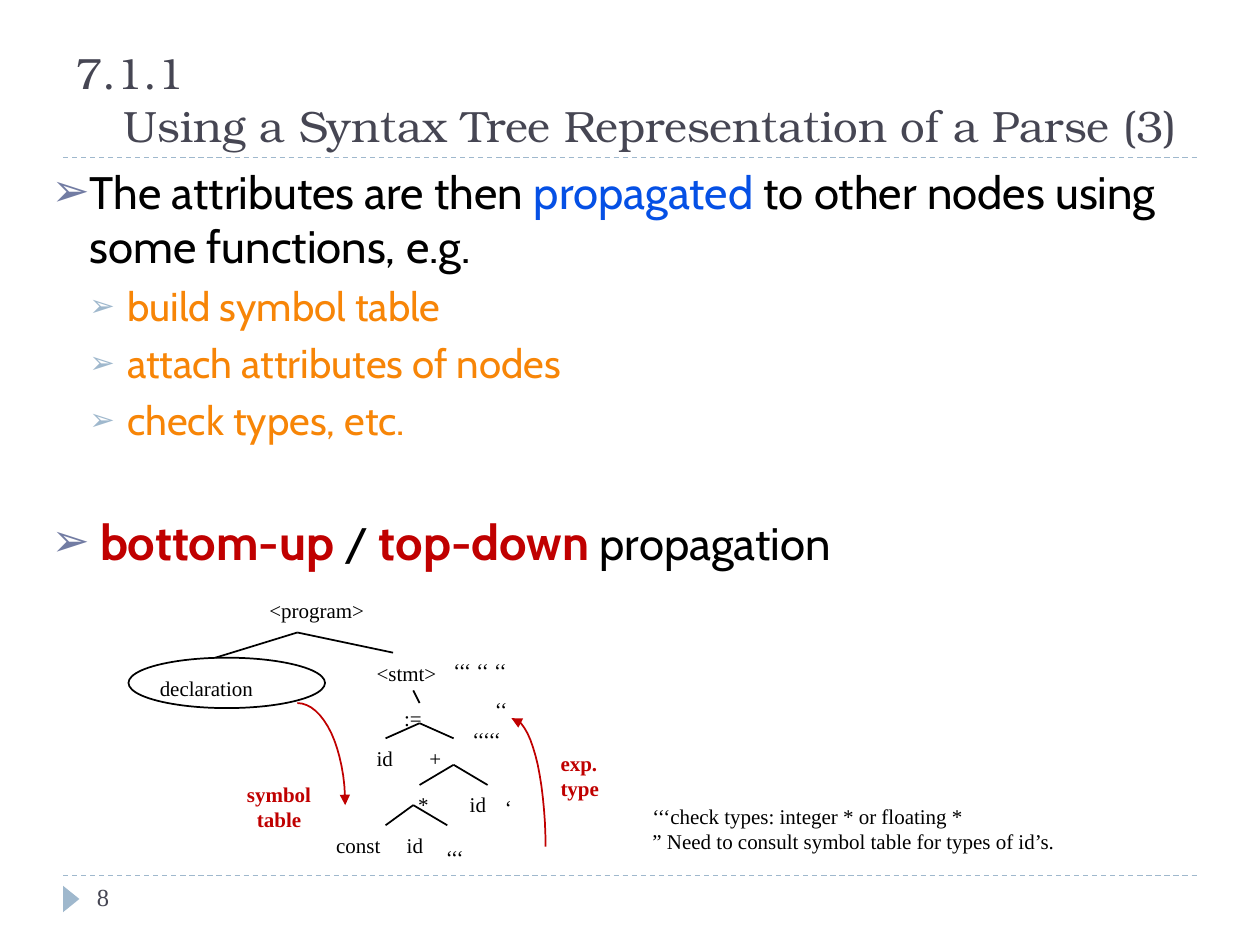
import math
import pptx
import pptx.util
import pptx.dml.color
import pptx.enum.dml
import pptx.enum.shapes
import pptx.enum.text
import pptx.oxml.ns
from lxml import etree

WIDE, HIGH = 10, 7.5
COL, ROW = WIDE / 100, HIGH / 75  # grid of 100 columns and 75 rows
HUES = {"ink": "000000", "head": "464653", "rule": "9FB8CD", "mark": "727CA3",
        "blue": "0550E5", "gold": "F78507", "red": "C00000"}
SERIF, SANS, SLAB = "Times New Roman", "Cabin", "TeX Gyre Bonum"
ALIGN = pptx.enum.text.PP_ALIGN
SHAPE = pptx.enum.shapes.MSO_SHAPE


def hue(name):
    return pptx.dml.color.RGBColor.from_string(HUES[name])


def place(box, x, y, w=0, h=0):
    """Turn columns and rows within a box into slide lengths."""
    return [pptx.util.Inches(round(n, 3)) for n in
            ((box[0] + x) * COL, (box[1] + y) * ROW, w * COL, h * ROW)]


def tag(node, name, **attrs):
    return etree.SubElement(node, pptx.oxml.ns.qn("a:" + name), attrs)


def write(para, runs, size=12, font=SERIF, color="ink", bold=False,
          align=ALIGN.LEFT, before=0):
    """Fill a paragraph; runs is a string or a list of (text, format)."""
    para.alignment = align
    para.space_before = pptx.util.Pt(before)
    for text, own in [(runs, {})] if isinstance(runs, str) else runs:
        for i, bit in enumerate(text.split("\n")):
            if i:
                para.add_line_break()
            run = para.add_run()
            run.text = bit
            run.font.name = font
            run.font.size = pptx.util.Pt(own.get("size", size))
            run.font.bold = own.get("bold", bold)
            run.font.color.rgb = hue(own.get("color", color))


def label(slide, spot, lines, wrap=False, **form):
    frame = slide.shapes.add_textbox(*spot).text_frame
    frame.word_wrap = wrap
    for i, line in enumerate(lines):
        para = frame.add_paragraph() if i else frame.paragraphs[0]
        write(para, line, **form)


def rule(slide, box, x, y, to_x, to_y, color="ink", width=1, dash=False):
    start, end = place(box, x, y), place(box, to_x, to_y)
    line = slide.shapes.add_connector(
        pptx.enum.shapes.MSO_CONNECTOR.STRAIGHT, *start[:2], *end[:2])
    line.line.color.rgb = hue(color)
    line.line.width = pptx.util.Pt(width)
    if dash:
        line.line.dash_style = pptx.enum.dml.MSO_LINE.DASH
    tag(line._element.spPr, "effectLst")


def curve(slide, box, mid, wide, high, up=False):
    """Quarter ellipse about mid, with an arrowhead at its end."""
    turns = [math.pi / 2 * i / 16 for i in range(17)]
    spots = [place(box, mid[0] + wide * math.sin(t), mid[1] - high * math.cos(t))[:2]
             for t in (reversed(turns) if up else turns)]
    path = slide.shapes.build_freeform(*spots[0])
    path.add_line_segments(spots[1:], close=False)
    arc = path.convert_to_shape()
    arc.shadow.inherit = False
    arc.fill.background()
    arc.line.color.rgb = hue("red")
    arc.line.width = pptx.util.Pt(1)
    tag(arc.line._get_or_add_ln(), "tailEnd", type="triangle")


def indent(para, left, hang, mark=None, size=100, char="➢"):
    props = para._p.get_or_add_pPr()
    props.set("marL", str(pptx.util.Inches(left)))
    props.set("indent", str(pptx.util.Inches(-hang)))
    if mark:
        tag(tag(props, "buClr"), "srgbClr", val=HUES[mark])
        tag(props, "buSzPct", val=str(size * 1000))
        tag(props, "buChar", char=char)


def fit(shape, spot, anchor):
    shape.left, shape.top, shape.width, shape.height = spot
    frame = shape.text_frame
    frame.word_wrap = True
    frame.auto_size = pptx.enum.text.MSO_AUTO_SIZE.NONE
    frame.vertical_anchor = anchor
    return frame


def head(slide, box):
    frame = fit(slide.shapes.title, place(box, 0, 0, *box[2:]),
                pptx.enum.text.MSO_ANCHOR.BOTTOM)
    para = frame.paragraphs[0]
    indent(para, 0.38, 0.38)
    write(para, "7.1.1 \nUsing a Syntax Tree Representation of a Parse (3)",
          size=25, font=SLAB, color="head")
    rule(slide, box, 0, box[3], box[2], box[3], "rule", 0.75, True)


def body(slide, box):
    frame = fit(slide.placeholders[1], place(box, 0, 0, *box[2:]),
                pptx.enum.text.MSO_ANCHOR.TOP)
    strong = {"size": 28, "color": "red", "bold": True}
    items = [
        (0, 0, [("The attributes are then ", {}), ("propagated", {"color": "blue"}),
                (" to other nodes using some functions, e.g.", {})]),
        (1, 5, "build symbol table"),
        (1, 5, "attach attributes of nodes"),
        (1, 5, "check types, etc."),
        (0, 38.5, [(" ", {}), ("bottom-up", strong), (" / ", {}),
                   ("top-down", strong), (" propagation", {})]),
    ]
    looks = [{"size": 26, "color": "ink"}, {"size": 23, "color": "gold"}]
    marks = [("mark", 100), ("rule", 76)]
    for i, (level, gap, runs) in enumerate(items):
        para = frame.add_paragraph() if i else frame.paragraphs[0]
        para.level = level
        indent(para, 0.3 * (level + 1), 0.3, *marks[level])
        write(para, runs, font=SANS, before=gap, **looks[level])


def tree(slide, box):
    # Branches: the parent's point, then its children's points
    for x, y, *ends in [
            (13.6, 4.2, (7.1, 6.2), (21.2, 5.8)),
            (22.8, 8.8, (23.3, 9.8)),
            (23.3, 11.4, (20.6, 12.6), (26, 12.6)),
            (26, 14.7, (23.3, 16.3), (28.7, 16.3)),
            (22.8, 17.9, (20.6, 19.5), (25.5, 19.5))]:
        for end in ends:
            rule(slide, box, x, y, *end)
    # Nodes and their quote marks, each box a little wider than its text
    for x, y, w, text in [
            (10.4, 0.9, 10, "<program>"), (1.7, 7.1, 10, "declaration"),
            (18.9, 5.9, 7.5, "<stmt>"), (21.1, 9.5, 4, ":="),
            (18.9, 12.7, 4, "id"), (23.1, 12.7, 4, "+"),
            (22.2, 16.3, 4, "*"), (26.3, 16.3, 4, "id"),
            (15.7, 19.6, 6, "const"), (21.3, 19.6, 4, "id"),
            (25, 5.7, 7.5, "‘‘‘ ‘‘ ‘‘"), (29.1, 16.6, 4, "‘"),
            (26.5, 11.2, 5.5, "‘‘‘‘‘"), (28.3, 8.8, 4, "‘‘"),
            (24.4, 20.5, 4, "‘‘‘")]:
        label(slide, place(box, x, y, w, 3), [text])
    # Ring around the declaration
    ring = slide.shapes.add_shape(SHAPE.OVAL, *place(box, 0.2, 6.2, 15.6, 4))
    ring.shadow.inherit = False
    ring.fill.background()
    ring.line.color.rgb = hue("ink")
    ring.line.width = pptx.util.Pt(1)
    # Flow arrows with their names
    curve(slide, box, (13.6, 17.9), 3.8, 8.1)
    curve(slide, box, (30.6, 21.2), 2.7, 10.2, up=True)
    label(slide, place(box, 8.1, 15.5, 8.1, 5), ["symbol", "table"],
          color="red", bold=True, align=ALIGN.CENTER)
    label(slide, place(box, 33.5, 13.1, 8.1, 5), ["exp.", "type"], wrap=True,
          color="red", bold=True)


def note(slide, box):
    label(slide, place(box, 0, 0, *box[2:]),
          ["‘‘‘check types: integer * or floating *",
           "” Need to consult symbol table for types of id’s."], wrap=True)


def foot(slide, box):
    rule(slide, box, 0, 0, box[2], 0, "rule", 0.75, True)
    mark = slide.shapes.add_shape(SHAPE.ISOSCELES_TRIANGLE,
                                  *place(box, -0.4, 1.2, 2.1, 1.3))
    mark.rotation = 90
    mark.shadow.inherit = False
    mark.fill.solid()
    mark.fill.fore_color.rgb = hue("rule")
    mark.line.fill.background()
    label(slide, place(box, 1.7, 0, 21.7, 4), ["8"], wrap=True, size=14, color="head")


def main():
    deck = pptx.Presentation()
    deck.slide_width = pptx.util.Inches(WIDE)
    deck.slide_height = pptx.util.Inches(HIGH)
    slide = deck.slides.add_slide(deck.slide_layouts[1])
    # Boxes: column, row, columns wide, rows high
    head(slide, (5, 1.7, 90, 10.8))
    body(slide, (3.1, 12.5, 90, 54))
    foot(slide, (5, 69.5, 90, 4))
    tree(slide, (10, 46, 42, 26))
    note(slide, (50.8, 63.3, 37.5, 5))
    deck.save("out.pptx")


if __name__ == "__main__":
    main()
